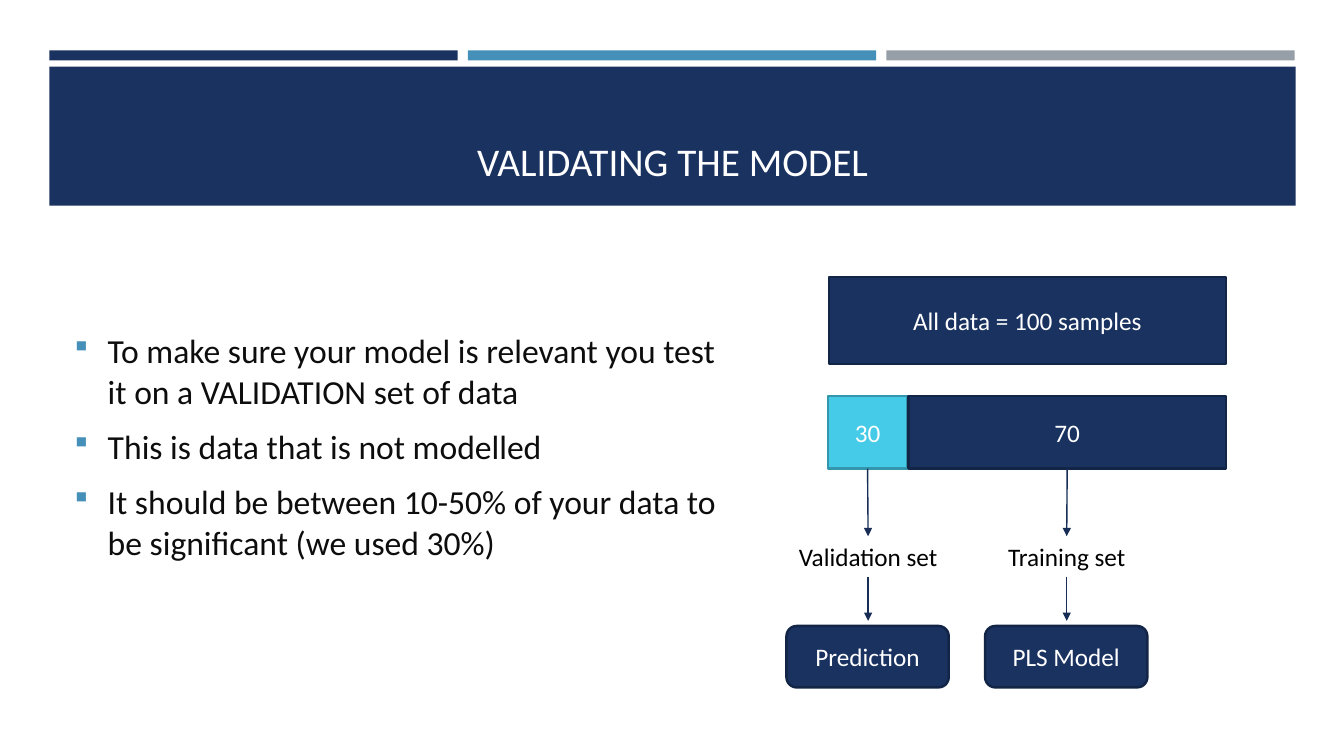
from lxml.etree import SubElement
from pptx import Presentation
from pptx.dml.color import RGBColor
from pptx.enum.shapes import MSO_CONNECTOR, MSO_SHAPE
from pptx.enum.text import MSO_ANCHOR, MSO_AUTO_SIZE, PP_ALIGN
from pptx.oxml.ns import qn
from pptx.util import Inches, Pt

NAVY, BLUE, GREY, CYAN = "1A3260", "4590B8", "969FA7", "45CBE8"
NAVY_EDGE, CYAN_EDGE, ARROW = "132547", "3396AC", "172D56"
WHITE, BLACK, BODY = "FFFFFF", "000000", "0D0D0D"

POINTS = [
    "To make sure your model is relevant you test it on a VALIDATION set of data",
    "This is data that is not modelled",
    "It should be between 10-50% of your data to be significant (we used 30%)",
]


def rgb(value):
    return RGBColor.from_string(value)


def style_paragraph(paragraph, size, color, align):
    paragraph.alignment = align
    for run in paragraph.runs:
        run.font.name = "Calibri"
        run.font.size = Pt(size)
        run.font.color.rgb = rgb(color)


def add_box(slide, place, fill, edge=None, text="", preset=MSO_SHAPE.RECTANGLE):
    box = slide.shapes.add_shape(preset, *map(Inches, place))
    box.shadow.inherit = False
    box.fill.solid()
    box.fill.fore_color.rgb = rgb(fill)
    if edge:
        box.line.color.rgb = rgb(edge)
        box.line.width = Pt(1.75)
    else:
        box.line.fill.background()
    if text:
        box.text_frame.text = text
        box.text_frame.vertical_anchor = MSO_ANCHOR.MIDDLE
        style_paragraph(box.text_frame.paragraphs[0], 18, WHITE, PP_ALIGN.CENTER)
    return box


def add_text(slide, place, text, size, color, anchor=MSO_ANCHOR.TOP):
    label = slide.shapes.add_textbox(*map(Inches, place))
    frame = label.text_frame
    frame.word_wrap = True
    frame.vertical_anchor = anchor
    frame.text = text
    style_paragraph(frame.paragraphs[0], size, color, PP_ALIGN.CENTER)
    return label


def add_bullet(paragraph):
    properties = paragraph._p.get_or_add_pPr()
    properties.set("marL", str(Inches(0.33)))
    properties.set("indent", str(-Inches(0.33)))
    bullet_color = SubElement(properties, qn("a:buClr"))
    SubElement(bullet_color, qn("a:srgbClr"), val=BLUE)
    SubElement(properties, qn("a:buSzPct"), val="92000")
    SubElement(properties, qn("a:buFont"), typeface="Wingdings")
    SubElement(properties, qn("a:buChar"), char="§")


def add_bullet_list(slide, place, points):
    frame = slide.shapes.add_textbox(*map(Inches, place)).text_frame
    frame.word_wrap = True
    frame.vertical_anchor = MSO_ANCHOR.MIDDLE
    for index, point in enumerate(points):
        paragraph = frame.add_paragraph() if index else frame.paragraphs[0]
        paragraph.text = point
        add_bullet(paragraph)
        paragraph.space_before = Pt(4.8 if index else 0)
        paragraph.space_after = Pt(6)
        style_paragraph(paragraph, 24, BODY, PP_ALIGN.LEFT)


def add_arrow(slide, x, top, bottom, source, target=None):
    arrow = slide.shapes.add_connector(
        MSO_CONNECTOR.STRAIGHT, Inches(x), Inches(top), Inches(x), Inches(bottom)
    )
    arrow.begin_connect(source, 2)
    if target is not None:
        arrow.end_connect(target, 0)
    arrow.line.color.rgb = rgb(ARROW)
    arrow.line.width = Pt(1)
    SubElement(arrow.line._get_or_add_ln(), qn("a:tailEnd"), type="triangle")
    SubElement(arrow._element.spPr, qn("a:effectLst"))


def add_branch(slide, x, subset, set_name, result):
    label = add_text(slide, (x - 0.84, 5.32, 1.68, 0.4), set_name, 18, BLACK)
    label.text_frame.auto_size = MSO_AUTO_SIZE.SHAPE_TO_FIT_TEXT
    add_box(slide, (x - 0.81, 6.21, 1.61, 0.61), NAVY, NAVY_EDGE, result,
            MSO_SHAPE.ROUNDED_RECTANGLE)
    add_arrow(slide, x, 4.65, 5.32, subset, label)
    add_arrow(slide, x, 5.72, 6.16, label)


def main():
    deck = Presentation()
    deck.slide_width, deck.slide_height = Inches(13.33), Inches(7.5)
    slide = deck.slides.add_slide(deck.slide_layouts[6])

    for column, color in enumerate((NAVY, BLUE, GREY)):
        add_box(slide, (0.49 + 4.15 * column, 0.5, 4.05, 0.1), color)
    add_box(slide, (0.49, 0.66, 12.36, 1.38), NAVY)
    add_text(slide, (0.64, 0.8, 12.06, 1.08), "VALIDATING THE MODEL", 28, WHITE,
             MSO_ANCHOR.BOTTOM)
    add_bullet_list(slide, (0.64, 2.44, 6.65, 3.97), POINTS)

    add_box(slide, (8.22, 2.75, 3.94, 0.86), NAVY, NAVY_EDGE, "All data = 100 samples")
    validation = add_box(slide, (8.21, 3.93, 0.79, 0.72), CYAN, CYAN_EDGE, "30")
    training = add_box(slide, (9.01, 3.93, 3.15, 0.72), NAVY, NAVY_EDGE, "70")
    add_branch(slide, 8.61, validation, "Validation set", "Prediction")
    add_branch(slide, 10.58, training, "Training set", "PLS Model")

    deck.save("out.pptx")


if __name__ == "__main__":
    main()
